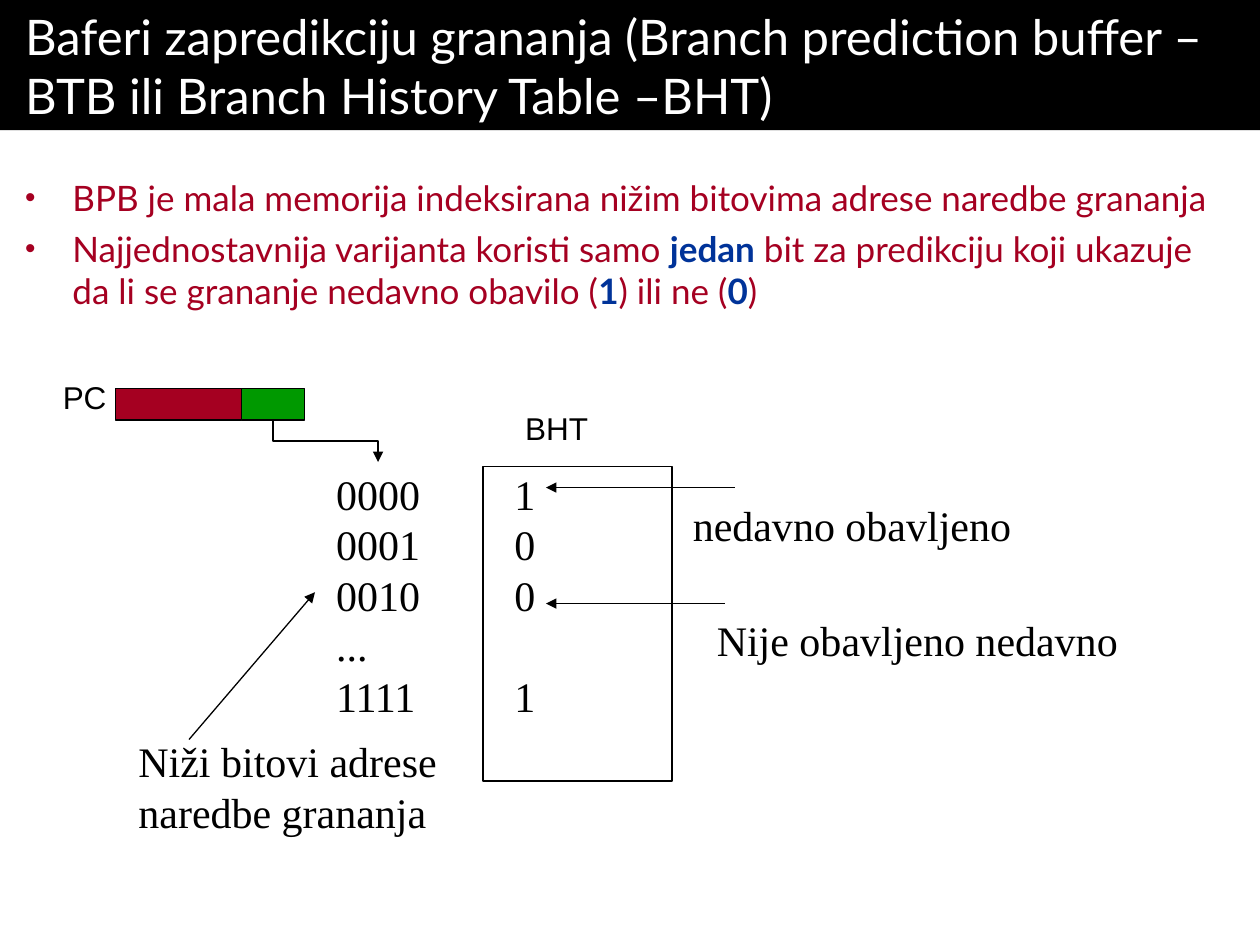
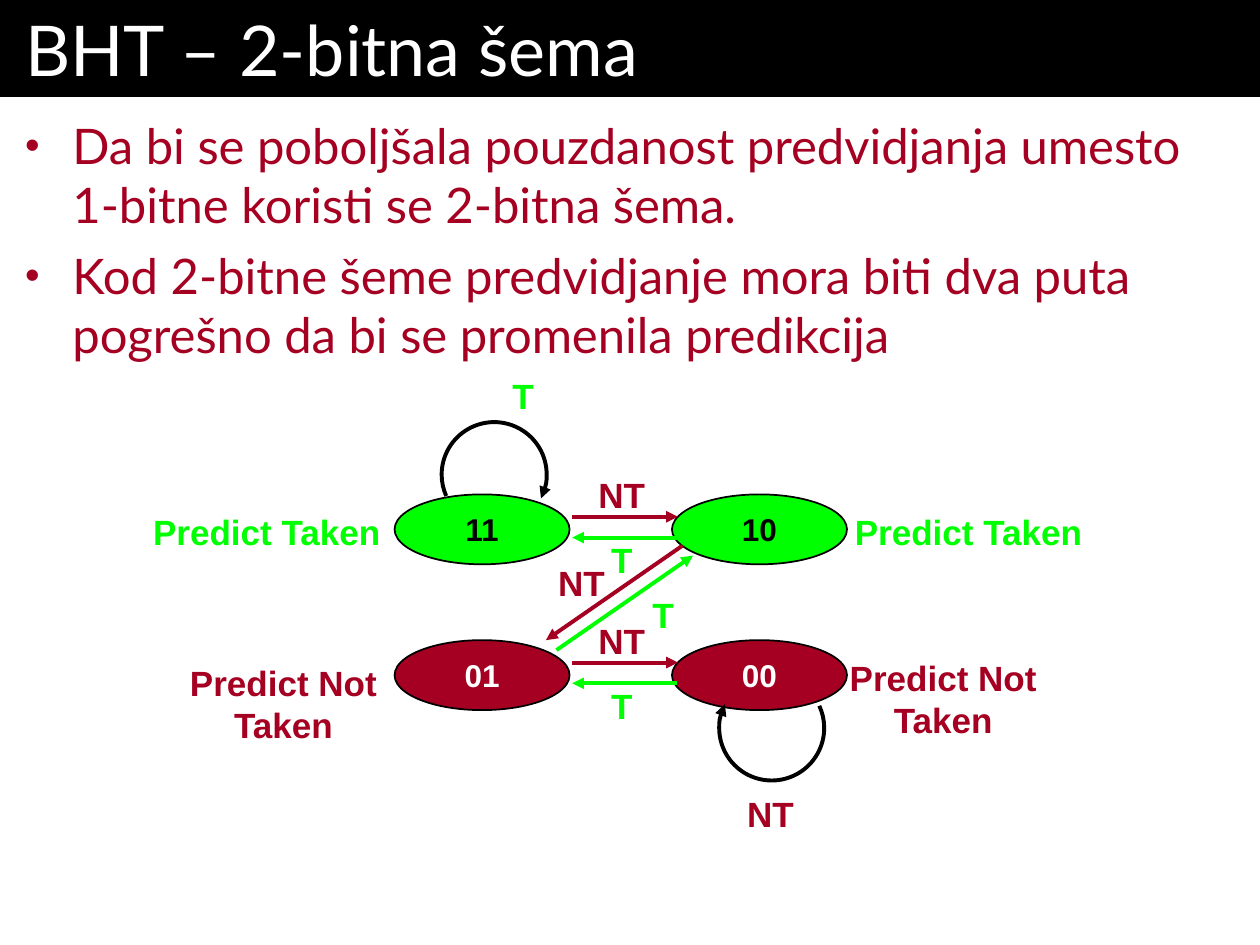
"""Builds two lecture slides on branch history tables and 2-bit prediction."""
from dataclasses import dataclass

from lxml.etree import SubElement
from pptx import Presentation
from pptx.dml.color import RGBColor
from pptx.enum.shapes import MSO_CONNECTOR, MSO_SHAPE
from pptx.enum.text import MSO_ANCHOR, MSO_AUTO_SIZE, PP_ALIGN
from pptx.oxml.ns import qn
from pptx.util import Pt


@dataclass(frozen=True)
class Theme:
    black: RGBColor = RGBColor(0x00, 0x00, 0x00)
    white: RGBColor = RGBColor(0xFF, 0xFF, 0xFF)
    crimson: RGBColor = RGBColor(0xA5, 0x00, 0x21)
    blue: RGBColor = RGBColor(0x00, 0x33, 0x99)
    green: RGBColor = RGBColor(0x00, 0x99, 0x00)
    lime: RGBColor = RGBColor(0x00, 0xFF, 0x00)
    heading_font: str = "Lato"
    diagram_font: str = "Arial"
    table_font: str = "Times New Roman"
    table_size: int = 24
    state_size: int = 18
    transition_size: int = 20
    thin: float = 0.75
    outline: float = 1
    thick: float = 2.25


class Deck:
    def __init__(self, theme):
        self.theme = theme
        self.presentation = Presentation()
        self.presentation.slide_width = Pt(720)
        self.presentation.slide_height = Pt(540)
        self.slide = None

    def format_font(self, font, name, size, color, bold=False):
        font.name, font.size, font.bold = name, Pt(size), bold
        font.color.rgb = color

    def set_insets(self, frame, horizontal, vertical):
        frame.margin_left = frame.margin_right = Pt(horizontal)
        frame.margin_top = frame.margin_bottom = Pt(vertical)

    def add_arrowhead(self, shape):
        SubElement(shape.line._get_or_add_ln(), qn("a:tailEnd"), type="triangle")

    def add_slide(self, title, height, size):
        self.slide = self.presentation.slides.add_slide(self.presentation.slide_layouts[5])
        shape = self.slide.shapes.title
        shape.left, shape.top, shape.width, shape.height = Pt(0), Pt(0), Pt(720), Pt(height)
        shape.fill.solid()
        shape.fill.fore_color.rgb = self.theme.black
        frame = shape.text_frame
        frame.text = title
        frame.word_wrap = True
        frame.auto_size = MSO_AUTO_SIZE.NONE
        frame.vertical_anchor = MSO_ANCHOR.TOP
        self.set_insets(frame, 14.4, 3.6)
        paragraph = frame.paragraphs[0]
        paragraph.alignment = PP_ALIGN.LEFT
        self.format_font(paragraph.font, self.theme.heading_font, size, self.theme.white)

    def add_bullets(self, texts, top, size, gap):
        box = self.slide.shapes.add_textbox(Pt(0), Pt(top), Pt(712), Pt(540 - top))
        frame = box.text_frame
        frame.word_wrap = True
        self.set_insets(frame, 14.4, 10.8)
        for index, text in enumerate(texts):
            paragraph = frame.add_paragraph() if index else frame.paragraphs[0]
            properties = paragraph._p.get_or_add_pPr()
            properties.set("marL", str(Pt(27)))
            properties.set("indent", str(Pt(-27)))
            color = SubElement(properties, qn("a:buClr"))
            SubElement(color, qn("a:srgbClr"), val=str(self.theme.crimson))
            SubElement(properties, qn("a:buSzPct"), val="85000")
            SubElement(properties, qn("a:buFont"), typeface=self.theme.diagram_font)
            SubElement(properties, qn("a:buChar"), char="•")
            if index:
                paragraph.space_before = Pt(gap)
            self.format_font(paragraph.font, self.theme.heading_font, size, self.theme.crimson)
            for position, part in enumerate(text.split("|")):
                run = paragraph.add_run()
                run.text = part
                if position % 2:
                    run.font.bold = True
                    run.font.color.rgb = self.theme.blue

    def add_label(self, lines, left, top, width, height, font, size, color,
                  bold=False, alignment=PP_ALIGN.LEFT):
        box = self.slide.shapes.add_textbox(Pt(left), Pt(top), Pt(width), Pt(height))
        frame = box.text_frame
        frame.text = "\n".join(lines)
        frame.word_wrap = False
        frame.auto_size = MSO_AUTO_SIZE.SHAPE_TO_FIT_TEXT
        for paragraph in frame.paragraphs:
            paragraph.alignment = alignment
            self.format_font(paragraph.font, font, size, color, bold)
        return frame.paragraphs

    def add_table_label(self, lines, left, top, width):
        return self.add_label(lines, left, top, width, 7.2 + 28.8 * len(lines),
                              self.theme.table_font, self.theme.table_size, self.theme.black)

    def add_caption(self, text, left, top, width):
        self.add_label([text], left, top, width, 28.8, self.theme.diagram_font,
                       self.theme.state_size, self.theme.black)

    def add_prediction(self, lines, left, top, width, color):
        self.add_label(lines, left, top, width, 7.2 + 23.8 * len(lines),
                       self.theme.diagram_font, self.theme.transition_size, color, True,
                       PP_ALIGN.CENTER)

    def add_taken(self, left, top):
        self.add_prediction(["T"], left, top, 28, self.theme.lime)

    def add_not_taken(self, left, top):
        self.add_prediction(["NT"], left, top, 43, self.theme.crimson)

    def add_shape(self, kind, left, top, width, height, fill=None, weight=None):
        shape = self.slide.shapes.add_shape(kind, Pt(left), Pt(top), Pt(width), Pt(height))
        shape.shadow.inherit = False
        if fill is None:
            shape.fill.background()
        else:
            shape.fill.solid()
            shape.fill.fore_color.rgb = fill
        shape.line.color.rgb = self.theme.black
        shape.line.width = Pt(weight or self.theme.thin)
        return shape

    def add_state(self, bits, left, top, fill, color):
        shape = self.add_shape(MSO_SHAPE.OVAL, left, top, 100, 40, fill, self.theme.outline)
        frame = shape.text_frame
        frame.text = bits
        frame.word_wrap = False
        frame.vertical_anchor = MSO_ANCHOR.MIDDLE
        paragraph = frame.paragraphs[0]
        paragraph.alignment = PP_ALIGN.CENTER
        self.format_font(paragraph.font, self.theme.diagram_font, self.theme.state_size,
                         color, True)

    def add_loop(self, left, top, start_degrees, end_degrees):
        shape = self.add_shape(MSO_SHAPE.ARC, left, top, 60, 60, weight=self.theme.thick)
        shape.adjustments[0] = start_degrees * 0.6
        shape.adjustments[1] = end_degrees * 0.6
        self.add_arrowhead(shape)

    def add_arrow(self, start, end, color=None, weight=None, kind=MSO_CONNECTOR.STRAIGHT):
        points = [Pt(value) for value in (*start, *end)]
        connector = self.slide.shapes.add_connector(kind, *points)
        connector.line.color.rgb = color or self.theme.black
        connector.line.width = Pt(weight or self.theme.thin)
        self.add_arrowhead(connector)
        SubElement(connector._element.spPr, qn("a:effectLst"))
        return connector

    def add_down_elbow(self, start, end):
        center_x, center_y = (start[0] + end[0]) / 2, (start[1] + end[1]) / 2
        half_x, half_y = (end[0] - start[0]) / 2, (end[1] - start[1]) / 2
        connector = self.add_arrow((center_x + half_y, center_y - half_x),
                                   (center_x - half_y, center_y + half_x),
                                   kind=MSO_CONNECTOR.ELBOW)
        connector._element.spPr.find(qn("a:xfrm")).set("rot", str(270 * 60000))


def build_history_table(deck):
    theme = deck.theme
    deck.add_slide("Baferi zapredikciju grananja (Branch prediction buffer –"
                   "BTB ili Branch History Table –BHT)", 74.4, 28)
    deck.add_bullets([
        "BPB je mala memorija indeksirana nižim bitovima adrese naredbe grananja",
        "Najjednostavnija varijanta koristi samo |jedan| bit za predikciju koji ukazuje "
        "da li se grananje nedavno obavilo (|1|) ili ne (|0|)",
    ], 90, 20, 5)
    deck.add_shape(MSO_SHAPE.RECTANGLE, 276, 266.4, 108, 180)
    deck.add_arrow((108, 422.6), (180, 338.4))
    deck.add_table_label(["Niži bitovi adrese", "naredbe grananja"], 72, 416.9, 190)
    deck.add_table_label(["0000", "0001", "0010", "...", "1111"], 185, 264.2, 68)
    history = deck.add_table_label(["1", "0", "0", "1"], 286.8, 264.2, 30)
    history[-1].space_before = Pt(28.8)
    deck.add_arrow((420, 278.6), (312, 278.6))
    deck.add_table_label(["nedavno obavljeno"], 388.8, 282.2, 202)
    deck.add_arrow((414, 344.9), (312, 344.9))
    deck.add_table_label(["Nije obavljeno nedavno"], 402.5, 347.8, 250)
    deck.add_caption("BHT", 293, 230.4, 55)
    deck.add_shape(MSO_SHAPE.RECTANGLE, 66, 222, 72, 18, theme.crimson)
    deck.add_shape(MSO_SHAPE.RECTANGLE, 138, 222, 36, 18, theme.green)
    deck.add_down_elbow((156, 240), (216, 264))
    deck.add_caption("PC", 28.8, 212.4, 44)


def build_two_bit_scheme(deck):
    theme = deck.theme
    deck.add_slide("BHT – 2-bitna šema", 55.4, 40)
    deck.add_bullets([
        "Da bi se poboljšala pouzdanost predvidjanja umesto 1-bitne koristi se 2-bitna šema.",
        "Kod 2-bitne šeme predvidjanje mora biti dva puta pogrešno da bi se promenila predikcija",
    ], 55.4, 28, 7)
    for left in (77.5, 478.5):
        deck.add_prediction(["Predict Taken"], left, 288, 150, theme.lime)
    for left, top in ((98, 374.4), (475, 371.5)):
        deck.add_prediction(["Predict Not", "Taken"], left, top, 128, theme.crimson)

    rows = ((0, ("11", "10"), theme.lime, theme.black),
            (83.3, ("01", "00"), theme.crimson, theme.white))
    for offset, states, fill, color in rows:
        for bits, left in zip(states, (225.5, 384)):
            deck.add_state(bits, left, 282.5 + offset, fill, color)
        deck.add_arrow((386.6, 307.2 + offset), (327, 307.2 + offset), theme.lime, theme.thick)
        deck.add_arrow((327, 295.3 + offset), (387.4, 295.3 + offset), theme.crimson, theme.thick)
        deck.add_taken(341.3, 304.4 + offset)
        deck.add_not_taken(333.8, 267.2 + offset)

    deck.add_loop(252.4, 241.2, 156, 27)
    deck.add_loop(411, 386, 335, 207)
    deck.add_taken(285, 210.2)
    deck.add_not_taken(418.8, 449.3)
    deck.add_arrow((318, 371.5), (396, 317.5), theme.lime, theme.thick)
    deck.add_arrow((390, 311.8), (312, 365.8), theme.crimson, theme.thick)
    deck.add_taken(365, 335.5)
    deck.add_not_taken(310.8, 317.5)


def main():
    deck = Deck(Theme())
    build_history_table(deck)
    build_two_bit_scheme(deck)
    deck.presentation.save("out.pptx")


if __name__ == "__main__":
    main()
